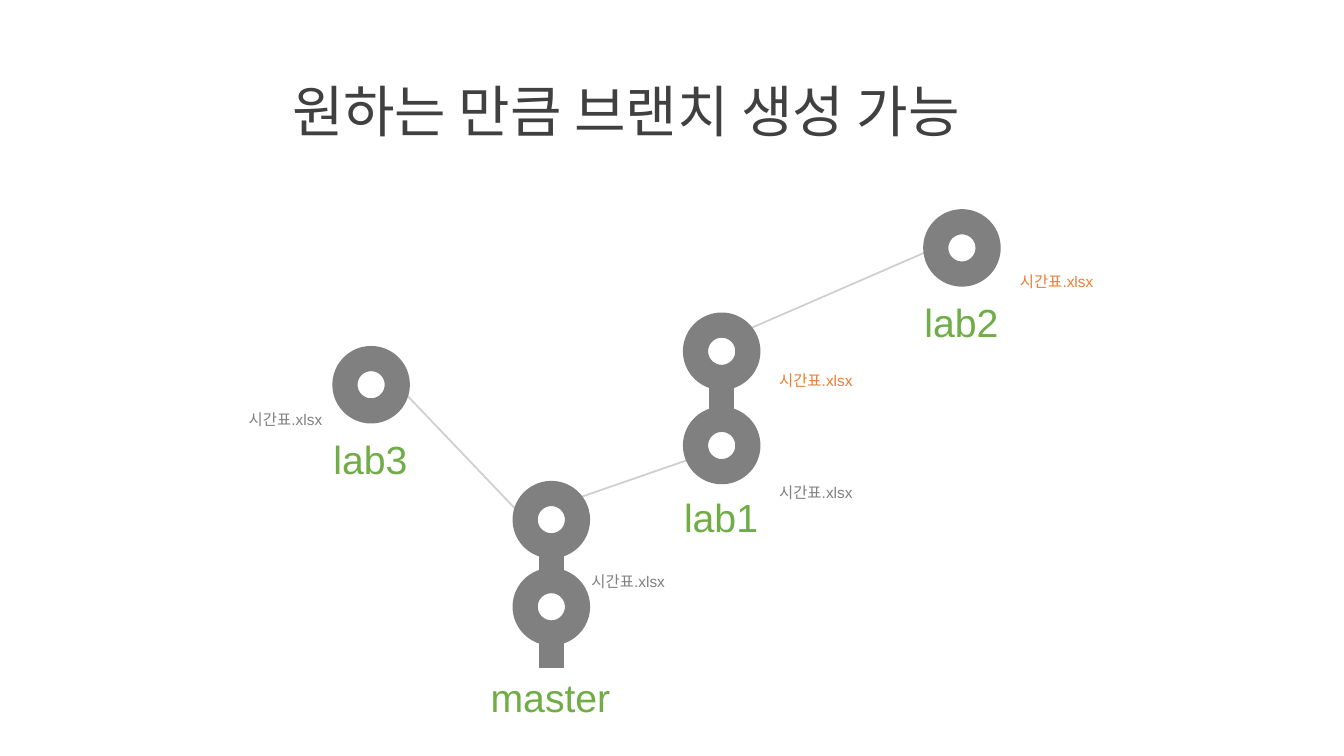
from lxml.etree import SubElement
from pptx import Presentation
from pptx.dml.color import RGBColor
from pptx.enum.shapes import MSO_CONNECTOR, MSO_SHAPE
from pptx.oxml.ns import qn
from pptx.util import Pt

GREY = RGBColor(0x80, 0x80, 0x80)
LIGHT_GREY = RGBColor(0xD0, 0xCE, 0xCE)
DARK = RGBColor(0x40, 0x40, 0x40)
GREEN = RGBColor(0x70, 0xAD, 0x47)
ORANGE = RGBColor(0xED, 0x7D, 0x31)
KOREAN_FONT = "Noto Sans CJK KR"
RING_SIZE = 37.4
STEM_LENGTH = 25.2

presentation = Presentation()
presentation.slide_width, presentation.slide_height = Pt(960), Pt(540)
slide = presentation.slides.add_slide(presentation.slide_layouts[6])


def add_text(text, left, top, width, height, wrap, font_format):
    box = slide.shapes.add_textbox(Pt(left), Pt(top), Pt(width), Pt(height))
    box.text_frame.word_wrap = wrap
    run = box.text_frame.paragraphs[0].add_run()
    run.text = text
    font_values = dict(font_format)
    run.font.color.rgb = font_values.pop("color")
    for name, value in font_values.items():
        setattr(run.font, name, value)
    east_asian = SubElement(run.font._element, qn("a:ea"))
    east_asian.set("typeface", KOREAN_FONT)


def add_line(start_x, start_y, end_x, end_y, color, width):
    connector = slide.shapes.add_connector(
        MSO_CONNECTOR.STRAIGHT, Pt(start_x), Pt(start_y), Pt(end_x), Pt(end_y))
    connector.line.color.rgb = color
    connector.line.width = Pt(width)
    SubElement(connector._element.spPr, qn("a:effectLst"))


# Title
add_text("원하는 만큼 브랜치 생성 가능", 201.6, 51.1, 556.6, 55.4, False,
         {"name": KOREAN_FONT, "size": Pt(40), "color": DARK})

# Links between branches
for link in [(283.7, 275, 375.1, 370.8),
             (530.6, 236.9, 668.2, 177.1),
             (406.8, 357.8, 496.1, 326.9)]:
    add_line(*link, LIGHT_GREY, 1.25)

# Commits: centre of each ring, and whether a stem hangs below it
commits = [
    (393.8, 433.4, True),
    (393.8, 371.2, True),
    (515.5, 318.2, False),
    (515.5, 250.9, True),
    (687.1, 177.1, False),
    (265.1, 274.8, False),
]
for center_x, center_y, has_stem in commits:
    radius = RING_SIZE / 2
    ring = slide.shapes.add_shape(
        MSO_SHAPE.OVAL, Pt(center_x - radius), Pt(center_y - radius),
        Pt(RING_SIZE), Pt(RING_SIZE))
    ring.shadow.inherit = False
    ring.fill.background()
    ring.line.color.rgb = GREY
    ring.line.width = Pt(18)
    if has_stem:
        bottom = center_y + radius
        add_line(center_x, bottom, center_x, bottom + STEM_LENGTH, GREY, 18)

# Branch names
branch_format = {"name": "Arial", "size": Pt(28), "color": GREEN}
for name, left, top, width in [("master", 343.4, 477.4, 100.8),
                               ("lab1", 481.5, 348.5, 68.4),
                               ("lab2", 653.2, 209.5, 68.4),
                               ("lab3", 231.1, 307.4, 68.4)]:
    add_text(name, left, top, width, 41.2, False, branch_format)

# File labels
for left, top, color in [(415.4, 405.4, GREY),
                         (549.4, 341.3, GREY),
                         (549.4, 261.4, ORANGE),
                         (721.4, 190.8, ORANGE),
                         (170.6, 289.4, GREY)]:
    add_text("시간표.xlsx", left, top, 68.4, 20.9, True,
             {"name": "Arial", "size": Pt(11), "color": color})

presentation.save("out.pptx")
